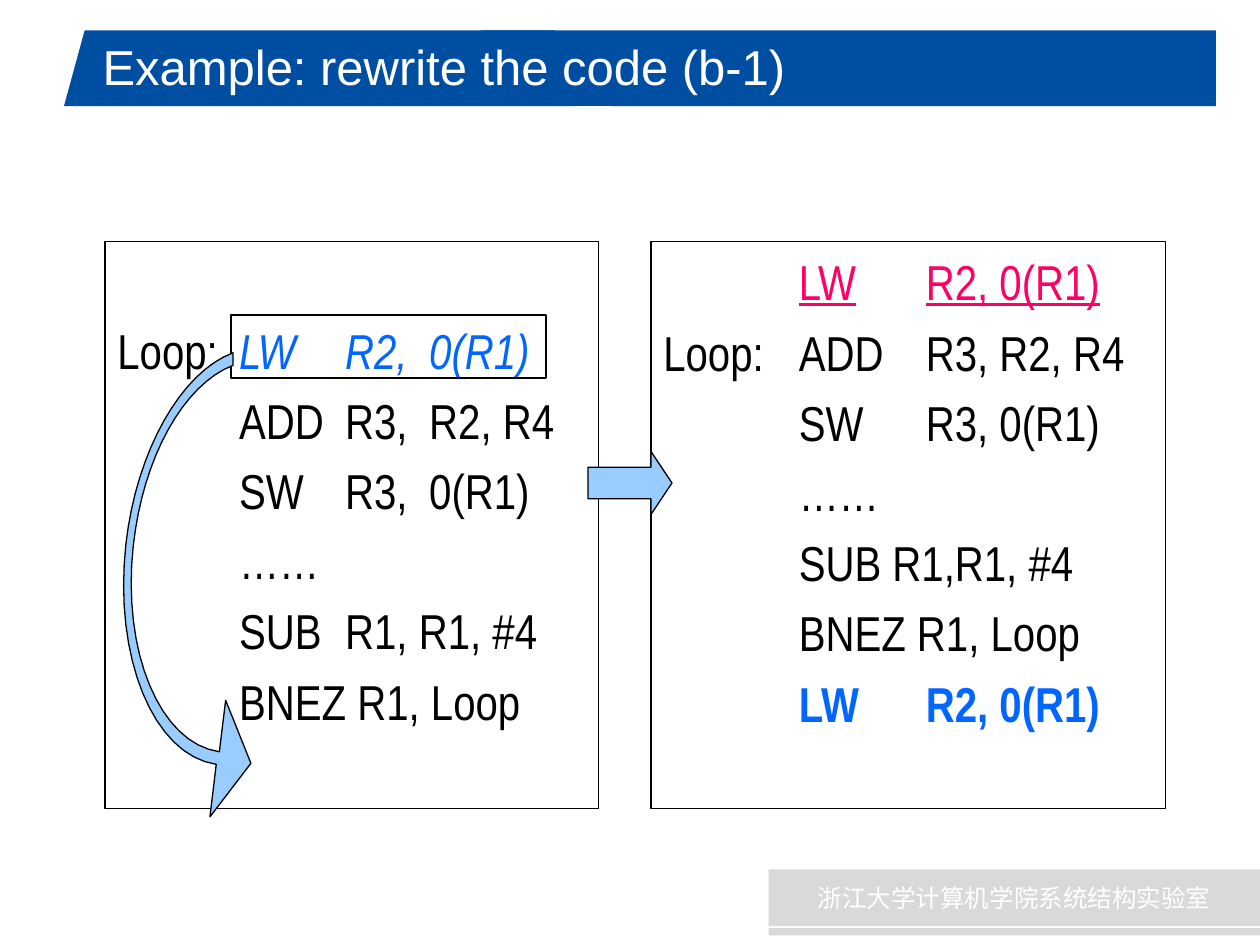
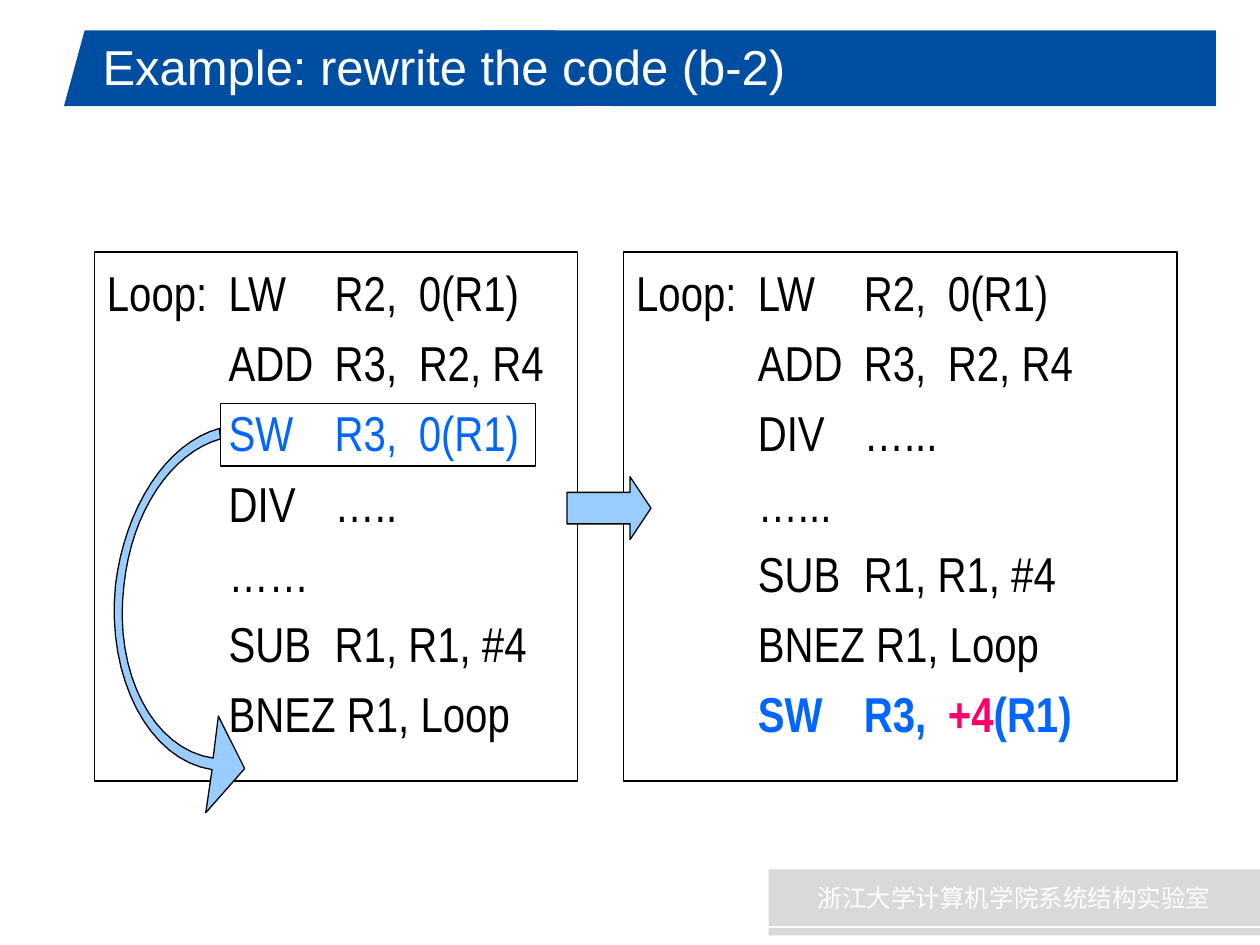
from lxml import etree
from pptx import Presentation
from pptx.dml.color import RGBColor
from pptx.enum.shapes import MSO_SHAPE
from pptx.enum.text import MSO_ANCHOR, PP_ALIGN
from pptx.oxml.ns import qn
from pptx.util import Inches, Pt

RECT, TRAP, ARROW = MSO_SHAPE.RECTANGLE, MSO_SHAPE.TRAPEZOID, MSO_SHAPE.RIGHT_ARROW
MID, TOP = MSO_ANCHOR.MIDDLE, MSO_ANCHOR.TOP
LEFT, CENTER = PP_ALIGN.LEFT, PP_ALIGN.CENTER
NAVY = RGBColor(0x00, 0x4E, 0xA2)
GREY = RGBColor(0xD9, 0xD9, 0xD9)
SKY = RGBColor(0x99, 0xCC, 0xFF)
BLUE = RGBColor(0x00, 0x66, 0xFF)
PINK = RGBColor(0xFF, 0x00, 0x66)
BLACK = RGBColor(0, 0, 0)
WHITE = RGBColor(0xFF, 0xFF, 0xFF)
SANS, SLIM, HAN = "Arial", "Arial Narrow", "Noto Sans CJK SC"

# The slide is a grid of 120 columns by 90 rows
deck = Presentation()
deck.slide_width, deck.slide_height = Inches(10), Inches(7.5)
UNIT = deck.slide_width / 120
ROW = 6.5  # height of a code line, in grid rows
STEPS = 16  # straight pieces in a curve


def paint(shape, fill=None, line=None):
    """Set fill and outline; None leaves either one out."""
    shape.shadow.inherit = False
    if fill is None:
        shape.fill.background()
    else:
        shape.fill.solid()
        shape.fill.fore_color.rgb = fill
    if line is None:
        shape.line.fill.background()
    else:
        shape.line.color.rgb = line
        shape.line.width = Pt(0.75)
    return shape


def write(par, text, font=SLIM, size=28, color=BLACK, bold=False,
          slant=False, under=False):
    """Add a run of text to a paragraph."""
    run = par.add_run()
    run.text = text
    face = run.font
    face.name, face.size, face.color.rgb = font, Pt(size), color
    face.bold, face.italic, face.underline = bold, slant, under
    if font == HAN:
        etree.SubElement(run._r.get_or_add_rPr(), qn("a:ea"), typeface=font)


# Bands that every slide shares: preset, place, colour
BANDS = [
    (TRAP, (6.1, 2.9, 48.7, 7.2), NAVY),
    (RECT, (45.8, 2.9, 70, 7.2), NAVY),
    (RECT, (58.2, 9.5, 57.6, 0.6), NAVY),
    (RECT, (73.2, 82.8, 46.8, 5.4), GREY),
    (RECT, (73.2, 88.4, 46.8, 0.7), GREY),
]
LABELS = [
    ((8.6, 3, 103.7, 6.6), LEFT, dict(font=SANS, color=WHITE)),
    ((73.2, 82.8, 46.8, 5.4), CENTER, dict(font=HAN, size=14, color=WHITE)),
]
LAB = "浙江大学计算机学院系统结构实验室"

# Code lines: plain text, or a list of runs with their format
LOAD = "Loop:\tLW\tR2,\t0(R1)"
ADD = "\tADD\tR3,\tR2, R4"
DOTS = "\t……"
TAIL = ["\tSUB\tR1, R1, #4", "\tBNEZ R1, Loop"]
STOPS = (11.6, 21.7, 29.7)
WIDE = (12.9, 25)

# Panels: place, empty rows on top, tab stops, code
# Curve: pieces of one point (line) or three points (Bézier)
PAGES = [
    dict(
        title="Example: rewrite the code (b-1)",
        panels=[
            ((10, 23, 47, 54), 1, STOPS, [
                [("Loop:\t", {}), ("LW\tR2,\t0(R1)", dict(color=BLUE, slant=True))],
                ADD, "\tSW\tR3,\t0(R1)", DOTS, *TAIL]),
            ((62, 23, 49, 54), 0, WIDE, [
                [("\t", {}), ("LW\tR2, 0(R1)", dict(color=PINK, under=True))],
                "Loop:\tADD\tR3, R2, R4", "\tSW\tR3, 0(R1)", DOTS,
                "\tSUB R1,R1, #4", "\tBNEZ R1, Loop",
                [("\t", {}), ("LW\tR2, 0(R1)", dict(color=BLUE, bold=True))]]),
        ],
        arrow=(56, 43, 8, 6),
        frame=(22, 30, 30, 6),
        start=(20.9, 71.6),
        curve=[
            [(15.2, 70.8), (11.6, 62), (12.7, 52)],
            [(13.6, 43.6), (17.5, 36.6), (22.2, 34.8)],
            [(22.2, 33.6)],
            [(17.2, 35.5), (13, 43), (12, 51.8)],
            [(10.8, 62.6), (14.6, 71.9), (20.6, 72.8)],
            [(20, 77.8)], [(23.9, 72.7)], [(21.5, 66.7)],
        ],
    ),
    dict(
        title="Example: rewrite the code (b-2)",
        panels=[
            ((9, 24, 46, 50.4), 0, STOPS, [
                LOAD, ADD, [("\t", {}), ("SW\tR3,\t0(R1)", dict(color=BLUE))],
                "\tDIV\t…..", DOTS, *TAIL]),
            ((59.4, 24, 52.7, 50.4), 0, STOPS, [
                LOAD, ADD, "\tDIV\t…...", "\t…...", *TAIL,
                [("\t", {}), ("SW\tR3,\t", dict(color=BLUE, bold=True)),
                 ("+4", dict(color=PINK, bold=True)),
                 ("(R1)", dict(color=BLUE, bold=True))]]),
        ],
        arrow=(54, 45.4, 8, 6),
        frame=(21, 38.4, 30, 6),
        start=(20.3, 72.2),
        curve=[
            [(14.6, 71.4), (10.8, 64.1), (11.8, 55.8)],
            [(12.5, 48.8), (16.3, 43.1), (21, 41.8)],
            [(20.9, 40.8)],
            [(15.8, 42.2), (11.9, 48.4), (11, 55.7)],
            [(10.1, 64.6), (14.2, 72.4), (20.2, 73.3)],
            [(19.6, 77.4)], [(23.3, 73.2)], [(20.8, 68.2)],
        ],
    ),
]

for page in PAGES:
    slide = deck.slides.add_slide(deck.slide_layouts[6])
    shapes = slide.shapes

    # Bands, title and footer
    for kind, place, fill in BANDS:
        band = paint(shapes.add_shape(kind, *[round(v * UNIT) for v in place]), fill)
        if kind == TRAP:
            band.adjustments[0] = 0.273
    for text, (place, align, style) in zip((page["title"], LAB), LABELS):
        frame = shapes.add_textbox(*[round(v * UNIT) for v in place]).text_frame
        frame.word_wrap, frame.vertical_anchor = True, MID
        frame.paragraphs[0].alignment = align
        write(frame.paragraphs[0], text, **style)

    # Code panels
    for place, skip, stops, code in page["panels"]:
        panel = shapes.add_shape(RECT, *[round(v * UNIT) for v in place])
        frame = paint(panel, line=BLACK).text_frame
        frame.word_wrap, frame.vertical_anchor = True, TOP
        frame.margin_top = round((1 + skip * ROW) * UNIT)
        for i, line in enumerate(code):
            par = frame.paragraphs[0] if i == 0 else frame.add_paragraph()
            par.alignment = LEFT
            par.space_before = Pt(6.5 if i else 0)
            tabs = etree.SubElement(par._p.get_or_add_pPr(), qn("a:tabLst"))
            for stop in stops:
                etree.SubElement(tabs, qn("a:tab"), pos=str(round(stop * UNIT)), algn="l")
            for text, style in [(line, {})] if isinstance(line, str) else line:
                write(par, text, **style)

    # Arrow between the panels, frame round the moved line
    arrow = shapes.add_shape(ARROW, *[round(v * UNIT) for v in page["arrow"]])
    paint(arrow, SKY, BLACK).adjustments[1] = 0.333
    paint(shapes.add_shape(RECT, *[round(v * UNIT) for v in page["frame"]]), line=BLACK)

    # Curved arrow to the end of the loop
    pen = page["start"]
    dots = []
    for piece in page["curve"]:
        if len(piece) == 3:
            for n in range(1, STEPS + 1):
                t = n / STEPS
                parts = ((1 - t) ** 3, 3 * t * (1 - t) ** 2, 3 * t * t * (1 - t), t ** 3)
                dots.append([sum(k * p[axis] for k, p in zip(parts, [pen, *piece]))
                             for axis in (0, 1)])
        else:
            dots.append(piece[0])
        pen = piece[-1]
    x, y = page["start"]
    path = shapes.build_freeform(round(x * UNIT), round(y * UNIT))
    path.add_line_segments([(round(x * UNIT), round(y * UNIT)) for x, y in dots], close=True)
    paint(path.convert_to_shape(), SKY, BLACK)

deck.save("out.pptx")
